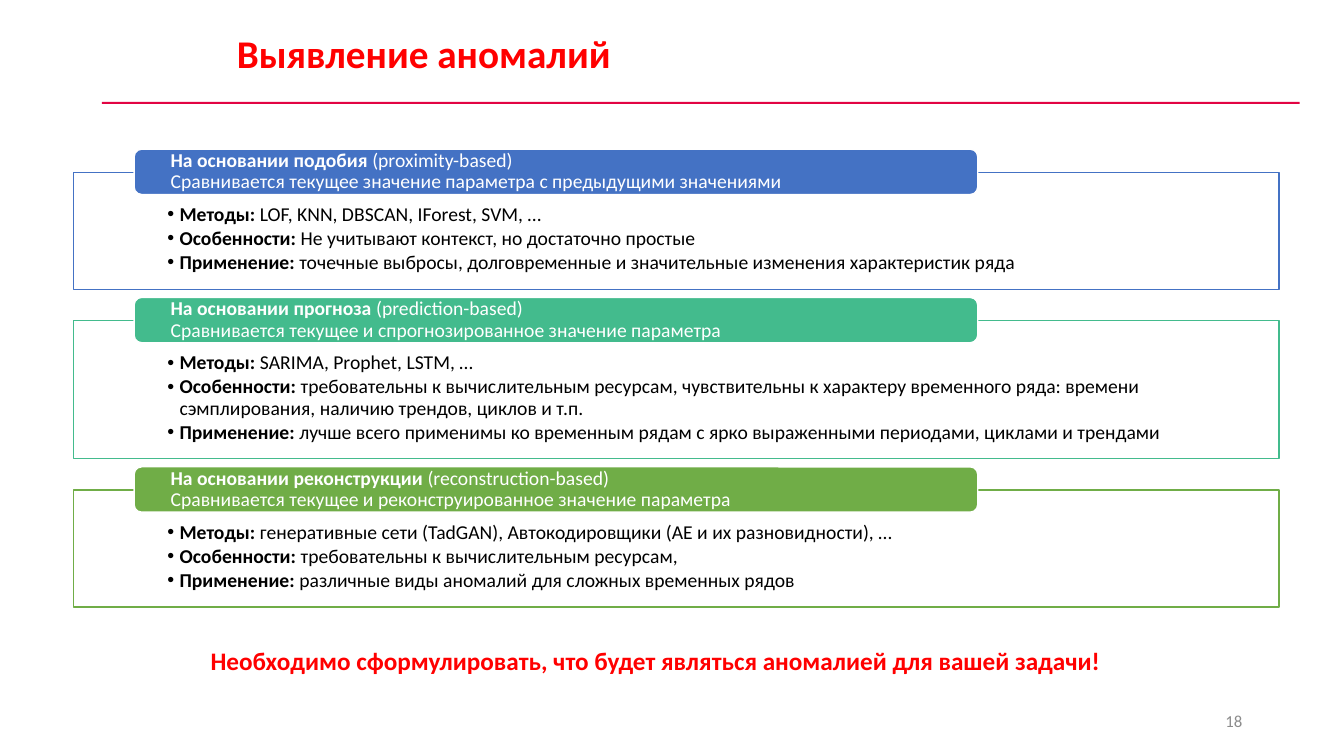
from dataclasses import dataclass

from lxml import etree
from pptx import Presentation
from pptx.dml.color import RGBColor
from pptx.enum.shapes import MSO_SHAPE
from pptx.enum.text import MSO_ANCHOR, MSO_AUTO_SIZE, PP_ALIGN
from pptx.oxml.ns import qn
from pptx.util import Inches, Pt

RECTANGLE, ROUNDED = MSO_SHAPE.RECTANGLE, MSO_SHAPE.ROUNDED_RECTANGLE
TOP, MIDDLE = MSO_ANCHOR.TOP, MSO_ANCHOR.MIDDLE
LEFT, RIGHT = PP_ALIGN.LEFT, PP_ALIGN.RIGHT
NO_FIT = MSO_AUTO_SIZE.NONE
COMPARISON_LAYOUT = 4


@dataclass(frozen=True)
class Theme:
    font: str = "Calibri"
    title_size: int = 28
    closing_size: int = 18
    text_size: int = 14
    number_size: int = 12
    accent: str = "FF0000"
    rule: str = "E20443"
    text: str = "000000"
    light: str = "FFFFFF"
    muted: str = "8C8C8C"


# Columns and rows are hundredths of the slide's width and height.
PANEL_LEFT, PANEL_WIDTH = 5.48, 89.7
HEADER_LEFT, HEADER_WIDTH, HEADER_HEIGHT = 9.98, 62.77, 6
FIRST_HEADER_TOP, HEADER_LEAD, GAP = 19.73, 3.07, 1.07
PANEL_PADDING, LINE_ROWS = 7.07, 2.8

# Colour, name, English term, summary, number of text lines, list entries
APPROACHES = [
    ("4472C4", "На основании подобия ", "(proximity-based)",
     "Сравнивается текущее значение параметра с предыдущими значениями", 3,
     [("Методы: ", "LOF, KNN, DBSCAN, IForest, SVM, …"),
      ("Особенности: ", "Не учитывают контекст, но достаточно простые"),
      ("Применение: ", "точечные выбросы, долговременные и значительные "
       "изменения характеристик ряда")]),
    ("43BB8D", "На основании прогноза ", "(prediction-based)",
     "Сравнивается текущее и спрогнозированное значение параметра", 4,
     [("Методы: ", "SARIMA, Prophet, LSTM, …"),
      ("Особенности: ", "требовательны к вычислительным ресурсам, чувствительны "
       "к характеру временного ряда: времени сэмплирования, наличию трендов, "
       "циклов и т.п."),
      ("Применение: ", "лучше всего применимы ко временным рядам с ярко "
       "выраженными периодами, циклами и трендами")]),
    ("70AD47", "На основании реконструкции ", "(reconstruction-based)",
     "Сравнивается текущее и реконструированное значение параметра", 3,
     [("Методы: ", "генеративные сети (TadGAN), Автокодировщики "
       "(AE и их разновидности), …"),
      ("Особенности: ", "требовательны к вычислительным ресурсам,"),
      ("Применение: ", "различные виды аномалий для сложных временных рядов")]),
]


class SlideBuilder:
    def __init__(self, presentation, theme):
        self.theme = theme
        self.column = presentation.slide_width / 100
        self.row = presentation.slide_height / 100
        layout = presentation.slide_layouts[COMPARISON_LAYOUT]
        self.slide = presentation.slides.add_slide(layout)
        self.bodies = [holder for holder in self.slide.placeholders
                       if holder.placeholder_format.idx > 0]

    def box(self, left, top, width, height):
        return (round(left * self.column), round(top * self.row),
                round(width * self.column), round(height * self.row))

    def place(self, shape, *cells):
        shape.left, shape.top, shape.width, shape.height = self.box(*cells)

    def style(self, paragraph, size, color, bold=None, align=LEFT):
        paragraph.alignment = align
        font = paragraph.font
        font.name, font.size, font.bold = self.theme.font, Pt(size), bold
        font.color.rgb = RGBColor.from_string(color)

    def frame(self, shape, anchor, margins=(0.1, 0.05, 0.1, 0.05), wrap=True):
        """Set up a text frame; margins are left, top, right, bottom in inches."""
        frame = shape.text_frame
        frame.auto_size, frame.word_wrap, frame.vertical_anchor = NO_FIT, wrap, anchor
        (frame.margin_left, frame.margin_top,
         frame.margin_right, frame.margin_bottom) = map(Inches, margins)
        return frame

    def paragraphs(self, frame, rows, color):
        """Write rows of (bold part, plain part) and return the paragraphs."""
        for index, parts in enumerate(rows):
            paragraph = frame.paragraphs[0] if index == 0 else frame.add_paragraph()
            paragraph.line_spacing = 0.9
            paragraph.space_before = Pt(0)
            self.style(paragraph, self.theme.text_size, color)
            for text, bold in zip(parts, (True, False)):
                if text:
                    run = paragraph.add_run()
                    run.text, run.font.bold = text, bold
        return frame.paragraphs

    def shape(self, preset, fill, line, *cells):
        shape = self.slide.shapes.add_shape(preset, *self.box(*cells))
        shape.shadow.inherit = False
        self.paint(shape, fill, line)
        return shape

    def paint(self, shape, fill, line):
        shape.fill.solid()
        shape.fill.fore_color.rgb = RGBColor.from_string(fill)
        if line:
            shape.line.color.rgb = RGBColor.from_string(line)
            shape.line.width = Pt(1)
        else:
            shape.line.fill.background()

    def title(self, text, *cells):
        title = self.slide.shapes.title
        self.place(title, *cells)
        frame = self.frame(title, TOP)
        frame.text = text
        self.style(frame.paragraphs[0], self.theme.title_size, self.theme.accent, True)

    def rule(self, *cells):
        self.shape(RECTANGLE, self.theme.rule, None, *cells)

    def header(self, color, rows, top):
        shape = self.shape(ROUNDED, color, self.theme.light,
                           HEADER_LEFT, top, HEADER_WIDTH, HEADER_HEIGHT)
        frame = self.frame(shape, MIDDLE, (0.34, 0, 0.34, 0))
        self.paragraphs(frame, rows, self.theme.light)

    def panel(self, color, entries, top, height):
        body = self.bodies.pop(0)
        self.place(body, PANEL_LEFT, top, PANEL_WIDTH, height)
        self.paint(body, self.theme.light, color)
        frame = self.frame(body, TOP, (0.93, 0.32, 0.93, 0.11))
        for paragraph in self.paragraphs(frame, entries, self.theme.text):
            paragraph.space_after = Pt(2)
            self.bullet(paragraph)

    def bullet(self, paragraph):
        properties = paragraph._p.get_or_add_pPr()
        properties.set("marL", str(Inches(0.12)))
        properties.set("indent", str(-Inches(0.12)))
        mark = etree.Element(qn("a:buChar"), char="•")
        properties.find(qn("a:defRPr")).addprevious(mark)

    def closing(self, text, *cells):
        box = self.slide.shapes.add_textbox(*self.box(*cells))
        frame = self.frame(box, TOP, wrap=False)
        frame.text = text
        self.style(frame.paragraphs[0], self.theme.closing_size, self.theme.accent, True)

    def slide_number(self, number, *cells):
        box = self.slide.shapes.add_textbox(*self.box(*cells))
        paragraph = self.frame(box, MIDDLE).paragraphs[0]
        self.style(paragraph, self.theme.number_size, self.theme.muted, align=RIGHT)
        field = etree.SubElement(paragraph._p, qn("a:fld"), type="slidenum",
                                 id="{B6F15528-21DE-4FAA-801E-634DDDAF4B2B}")
        etree.SubElement(field, qn("a:t")).text = number

    def remove_unused(self):
        for body in self.bodies:
            body.element.getparent().remove(body.element)


def main():
    presentation = Presentation()
    presentation.slide_width, presentation.slide_height = Inches(13.33), Inches(7.5)
    presentation.element.set("firstSlideNum", "18")
    builder = SlideBuilder(presentation, Theme())
    builder.title("Выявление аномалий", 16.88, 3.2, 80.35, 7.6)
    builder.rule(7.58, 13.47, 89.12, 0.27)
    top = FIRST_HEADER_TOP
    for color, name, term, summary, lines, entries in APPROACHES:
        height = PANEL_PADDING + lines * LINE_ROWS
        builder.panel(color, entries, top + HEADER_LEAD, height)
        builder.header(color, [(name, term), ("", summary)], top)
        top += HEADER_LEAD + height + GAP
    builder.closing("Необходимо сформулировать, что будет являться аномалией "
                    "для вашей задачи!", 14.93, 84.67, 68.34, 5.33)
    builder.slide_number("18", 70.67, 92.67, 22.51, 5.33)
    builder.remove_unused()
    presentation.save("out.pptx")


if __name__ == "__main__":
    main()
